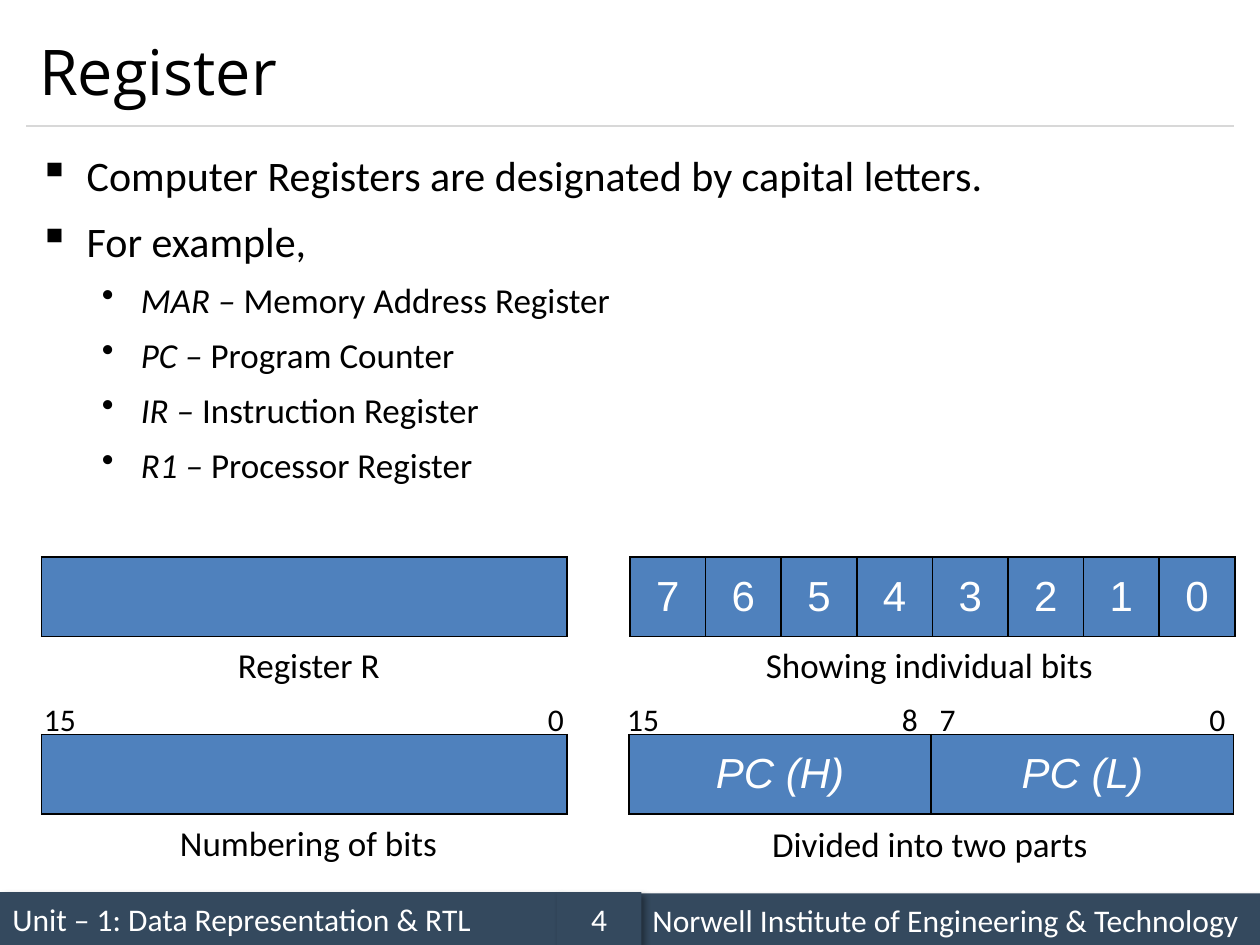
import pptx
import pptx.util
import pptx.dml.color
import pptx.enum.shapes
import pptx.enum.text
import pptx.oxml
import pptx.oxml.ns
from pptx.util import Inches

ALIGN = pptx.enum.text.PP_ALIGN
MIDDLE = pptx.enum.text.MSO_ANCHOR.MIDDLE
NS = pptx.oxml.ns.nsdecls("a")
BLACK, WHITE, NAVY, BLUE, GREY = "000000", "FFFFFF", "34495E", "4F81BD", "D8D8D8"


def rgb(value):
    return pptx.dml.color.RGBColor.from_string(value)


def add_xml(parent, xml):
    parent.append(pptx.oxml.parse_xml(xml))


def add_run(p, text, size, font="Calibri", color=BLACK, italic=False):
    r = p.add_run()
    r.text = text
    r.font.size = pptx.util.Pt(size)
    r.font.name = font
    r.font.color.rgb = rgb(color)
    r.font.italic = italic


def add_title(s, text):
    sp = s.shapes.title
    sp.left, sp.top = Inches(0.21), Inches(0.12)
    sp.width, sp.height = Inches(9.58), Inches(0.88)
    tf = sp.text_frame
    tf.vertical_anchor = MIDDLE
    p = tf.paragraphs[0]
    p.alignment = ALIGN.LEFT
    add_run(p, text, 36, "Open Sans")


def add_rule(s, left, right, y):
    line = s.shapes.add_connector(
        pptx.enum.shapes.MSO_CONNECTOR.STRAIGHT,
        Inches(left), Inches(y), Inches(right), Inches(y))
    line.line.color.rgb = rgb(GREY)
    line.line.width = pptx.util.Pt(0.75)
    add_xml(line._element.spPr, f"<a:effectLst {NS}/>")


def add_footer(s, left, top, width, text, align=ALIGN.LEFT):
    sp = s.shapes.add_shape(
        pptx.enum.shapes.MSO_SHAPE.RECTANGLE,
        Inches(left), Inches(top), Inches(width), Inches(0.42))
    sp.fill.solid()
    sp.fill.fore_color.rgb = rgb(NAVY)
    sp.line.fill.background()
    add_xml(sp._element.spPr, f'''<a:effectLst {NS}>
        <a:outerShdw blurRad="50800" dist="38100" dir="2700000" algn="tl" rotWithShape="0">
        <a:srgbClr val="{BLACK}"><a:alpha val="40000"/></a:srgbClr>
        </a:outerShdw></a:effectLst>''')
    tf = sp.text_frame
    tf.word_wrap = True
    tf.vertical_anchor = MIDDLE
    p = tf.paragraphs[0]
    p.alignment = align
    add_run(p, text, 18, color=WHITE)


def add_bullet(p, char, margin, hanging, before):
    p.line_spacing = 1.14
    p.space_before = pptx.util.Pt(before)
    pPr = p._p.get_or_add_pPr()
    pPr.set("marL", str(Inches(margin)))
    pPr.set("indent", str(-Inches(hanging)))
    add_xml(pPr, f'<a:buClr {NS}><a:srgbClr val="{BLACK}"/></a:buClr>')
    add_xml(pPr, f'<a:buChar {NS} char="{char}"/>')


def add_body(s, points, registers):
    sp = s.shapes.add_textbox(Inches(0.21), Inches(1.08), Inches(9.58), Inches(3.08))
    tf = sp.text_frame
    tf.word_wrap = True
    for i, text in enumerate(points):
        p = tf.add_paragraph() if i else tf.paragraphs[0]
        add_bullet(p, "▪", 0.38, 0.38, 4.8 if i else 0)
        add_run(p, text, 24)
    for name, meaning in registers:
        p = tf.add_paragraph()
        p.level = 1
        p.alignment = ALIGN.JUSTIFY
        add_bullet(p, "•", 0.81, 0.31, 4)
        add_run(p, f"{name} – ", 20, italic=True)
        add_run(p, meaning, 20)


def add_register(s, left, top, width, cells, italic=False):
    count = len(cells)
    table = s.shapes.add_table(
        1, count, Inches(left), Inches(top), Inches(width), Inches(0.63)).table
    table.first_row = table.horz_banding = False
    for i, text in enumerate(cells):
        table.columns[i].width = Inches(width / count)
        cell = table.cell(0, i)
        tcPr = cell._tc.get_or_add_tcPr()
        for side in "LRTB":
            add_xml(tcPr, f'''<a:ln{side} {NS} w="12700"><a:solidFill>
                <a:srgbClr val="{BLACK}"/></a:solidFill></a:ln{side}>''')
        cell.fill.solid()
        cell.fill.fore_color.rgb = rgb(BLUE)
        cell.vertical_anchor = MIDDLE
        if text:
            p = cell.text_frame.paragraphs[0]
            p.alignment = ALIGN.CENTER
            add_run(p, text, 24, "Arial", WHITE, italic)


def add_label(s, left, top, width, height, text, size):
    sp = s.shapes.add_textbox(Inches(left), Inches(top), Inches(width), Inches(height))
    sp.text_frame.word_wrap = False
    add_run(sp.text_frame.paragraphs[0], text, size)


def main():
    prs = pptx.Presentation()
    prs.slide_width, prs.slide_height = Inches(10), Inches(7.5)
    s = prs.slides.add_slide(prs.slide_layouts[5])

    add_footer(s, 0, 7.08, 4.42, "Unit – 1: Data Representation & RTL")
    add_rule(s, 0.21, 9.79, 1)
    add_footer(s, 5.08, 7.09, 4.92, "Norwell Institute of Engineering & Technology")
    add_footer(s, 4.42, 7.08, 0.67, "4", ALIGN.CENTER)

    add_title(s, "Register")
    add_body(
        s,
        ["Computer Registers are designated by capital letters.", "For example,"],
        [("MAR", "Memory Address Register"), ("PC", "Program Counter"),
         ("IR", "Instruction Register"), ("R1", "Processor Register")])

    add_register(s, 0.33, 4.42, 4.17, [""])
    add_register(s, 5, 4.42, 4.8, list("76543210"))
    add_register(s, 0.33, 5.83, 4.17, [""])
    add_register(s, 4.99, 5.83, 4.8, ["PC (H)", "PC (L)"], italic=True)

    for left, text in [(4.25, "0"), (0.25, "15"), (9.5, "0"),
                       (7.36, "7"), (7.06, "8"), (4.88, "15")]:
        add_label(s, left, 5.51, 0.2 + 0.13 * len(text), 0.4, text, 18)

    for left, top, width, text in [
            (1.79, 5.06, 1.34, "Register R"),
            (5.98, 5.06, 2.82, "Showing individual bits"),
            (1.33, 6.47, 2.26, "Numbering of bits"),
            (6.03, 6.48, 2.73, "Divided into two parts")]:
        add_label(s, left, top, width, 0.44, text, 20)

    prs.save("out.pptx")


if __name__ == "__main__":
    main()
